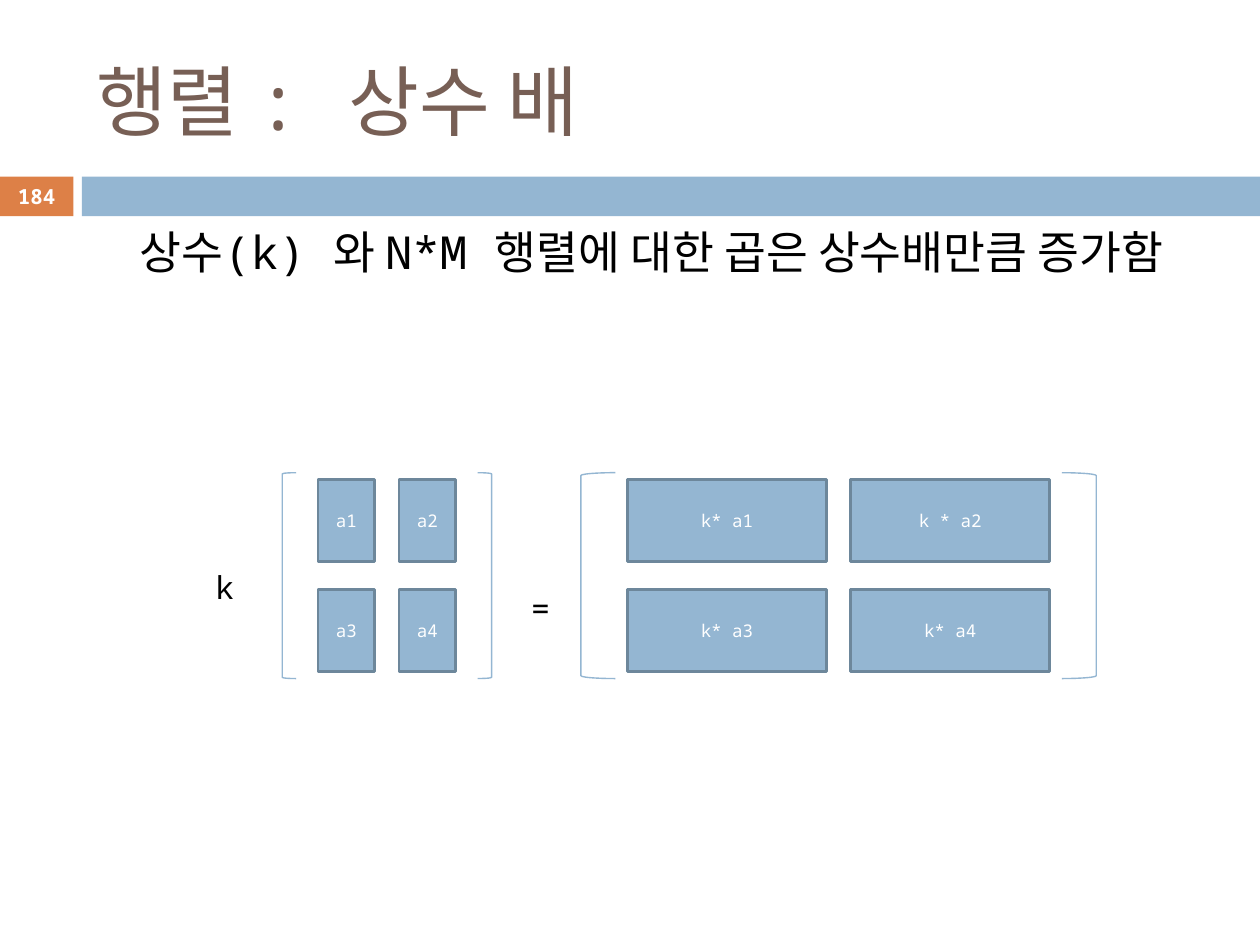
from pptx import Presentation
from pptx.dml.color import RGBColor
from pptx.enum.shapes import MSO_SHAPE
from pptx.enum.text import MSO_ANCHOR, PP_ALIGN
from pptx.util import Cm, Pt

FONT = "Noto Sans Mono"
BLUE = RGBColor(0x94, 0xB6, 0xD2)
EDGE = RGBColor(0x6D, 0x87, 0x9B)
ORANGE = RGBColor(0xDD, 0x80, 0x47)
BROWN = RGBColor(0x77, 0x5F, 0x55)
BLACK = RGBColor(0, 0, 0)
WHITE = RGBColor(255, 255, 255)


def write(shape, text, size, color, align=PP_ALIGN.LEFT, anchor=MSO_ANCHOR.TOP):
    frame = shape.text_frame
    frame.text = text
    frame.word_wrap = True
    frame.vertical_anchor = anchor
    para = frame.paragraphs[0]
    para.alignment = align
    font = para.runs[0].font
    font.name, font.size, font.color.rgb = FONT, Pt(size), color
    return para


def add_text(slide, box, text, size, color, **style):
    label = slide.shapes.add_textbox(*map(Cm, box))
    return write(label, text, size, color, **style)


def add_shape(shapes, kind, box, fill=None, line=None, width=0.79):
    shape = shapes.add_shape(kind, *map(Cm, box))
    shape.shadow.inherit = False
    if fill is None:
        shape.fill.background()
    else:
        shape.fill.solid()
        shape.fill.fore_color.rgb = fill
    if line is None:
        shape.line.fill.background()
    else:
        shape.line.color.rgb = line
        shape.line.width = Pt(width)
    return shape


def add_header(slide, left, top, width, title, number):
    """Title above a band whose left end holds the slide number."""
    band, high, tab, start = top + 2.92, 0.8, 1.48, 1.65
    add_shape(slide.shapes, MSO_SHAPE.RECTANGLE, (left, band, tab, high), ORANGE)
    add_shape(slide.shapes, MSO_SHAPE.RECTANGLE,
              (left + start, band, width - start, high), BLUE)
    add_text(slide, (left + 1.7, top, 22.66, 2.74), title, 44, BROWN,
             anchor=MSO_ANCHOR.MIDDLE)
    para = add_text(slide, (left, band, tab, high), number, 11.9, WHITE,
                    align=PP_ALIGN.CENTER, anchor=MSO_ANCHOR.MIDDLE)
    para.runs[0].font.bold = True


def add_body(slide, left, top, width, height, text):
    indent = 1.27
    para = add_text(slide, (left + indent, top, width - indent, height),
                    text, 26, BLACK)
    para.space_before = Pt(5.5)


def add_matrix(slide, left, top, width, height, cell, rows):
    """Bracketed grid of labels, centred in its box; cell is the cell width."""
    shapes = slide.shapes.add_group_shape().shapes
    high, gap, drop = 1.65, 0.49, 0.57
    count = len(rows[0])
    x = left + (width - count * cell - (count - 1) * gap) / 2
    y = top + (height - len(rows) * high - (len(rows) - 1) * drop) / 2
    for i, row in enumerate(rows):
        for j, text in enumerate(row):
            box = (x + j * (cell + gap), y + i * (high + drop), cell, high)
            item = add_shape(shapes, MSO_SHAPE.RECTANGLE, box, BLUE, EDGE, 1.5)
            write(item, text, 10, WHITE, PP_ALIGN.CENTER, MSO_ANCHOR.MIDDLE)
    hook = width / 15
    add_shape(shapes, MSO_SHAPE.LEFT_BRACKET, (left, top, hook, height), line=BLUE)
    add_shape(shapes, MSO_SHAPE.RIGHT_BRACKET,
              (left + width - hook, top, hook, height), line=BLUE)


def add_product(slide, left, top, height):
    """The equation: k times a matrix equals the scaled matrix."""
    add_matrix(slide, left + 1.6, top, 4.22, height, 1.14,
               [["a1", "a2"], ["a3", "a4"]])
    add_matrix(slide, left + 7.62, top, 10.39, height, 4.01,
               [["k* a1", "k * a2"], ["k* a3", "k* a4"]])
    add_text(slide, (left + 6.37, top + 2.21, 1.19, 1.02), "=", 18, BLACK)
    add_text(slide, (left, top + 1.8, 2.79, 1.02), "k", 18, BLACK)


def main():
    deck = Presentation()
    deck.slide_width, deck.slide_height = Cm(25.4), Cm(19.05)
    slide = deck.slides.add_slide(deck.slide_layouts[6])
    add_header(slide, 0, 0.64, 25.4, "행렬 : 상수 배", "184")
    add_body(slide, 1.3, 4.39, 22.86, 2.34,
             "상수(k) 와 N*M 행렬에 대한 곱은 상수배만큼 증가함")
    add_product(slide, 4.09, 9.53, 4.15)
    deck.save("out.pptx")


if __name__ == "__main__":
    main()
